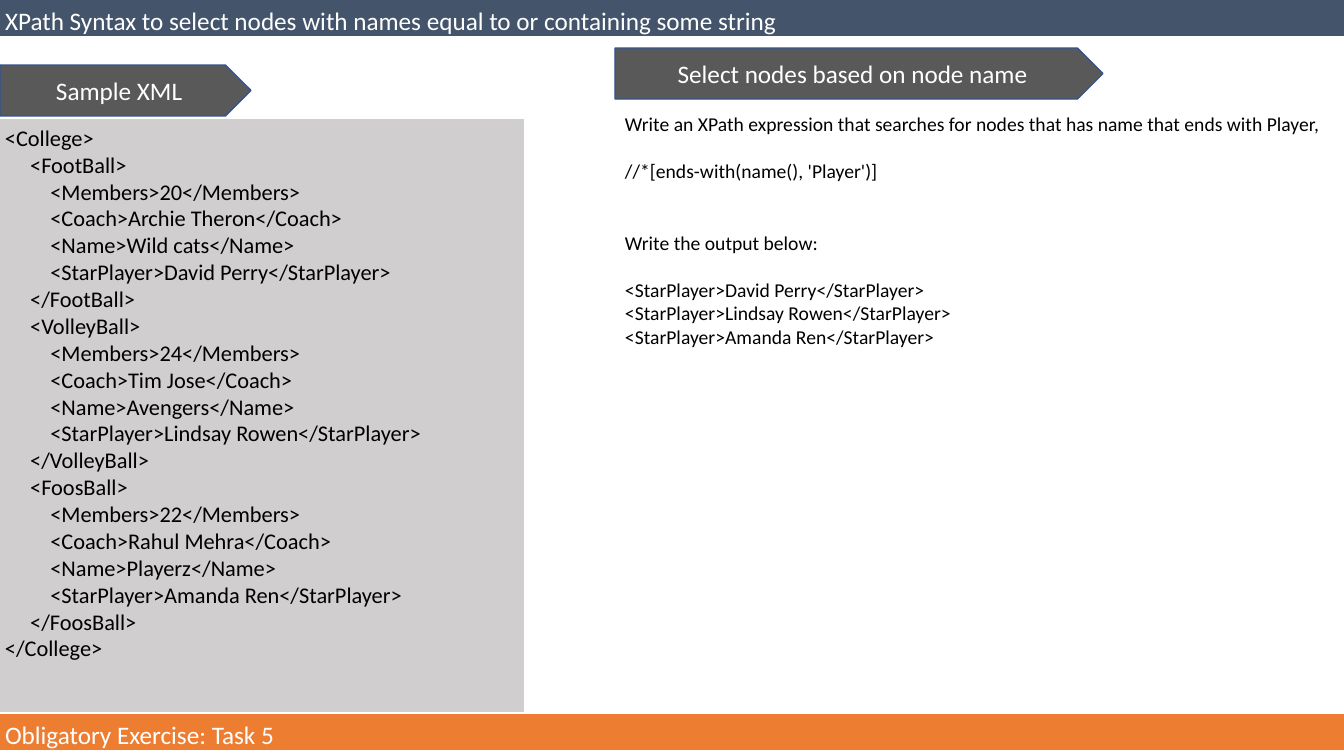
from dataclasses import dataclass

from lxml import etree
from pptx import Presentation
from pptx import util as u
from pptx.dml import color
from pptx.enum import shapes, text
from pptx.oxml import ns

EMU_PER_PX = 914400 / 100.8
WIDTH, HEIGHT = 1344, 756


def px(length):
    return u.Emu(round(length * EMU_PER_PX))


@dataclass(frozen=True)
class Theme:
    font: str = "Calibri"
    title_bar: str = "44546A"
    task_bar: str = "ED7D31"
    code_panel: str = "D0CECE"
    tag: str = "595959"
    tag_line: str = "32538F"
    dark: str = "000000"
    light: str = "FFFFFF"
    heading_size: int = 18
    code_size: int = 16
    body_size: int = 14
    inset: int = 5


class SlideBuilder:
    def __init__(self, slide, theme):
        self.slide = slide
        self.theme = theme

    def place(self, shape, left, top, width, height):
        shape.left, shape.top = px(left), px(top)
        shape.width, shape.height = px(width), px(height)

    def paint(self, shape, fill, line=None):
        shape.fill.solid()
        shape.fill.fore_color.rgb = color.RGBColor.from_string(fill)
        if line:
            shape.line.color.rgb = color.RGBColor.from_string(line)
            shape.line.width = u.Pt(1)
        else:
            shape.line.fill.background()

    def set_text(self, shape, content, size, ink, align=text.PP_ALIGN.LEFT,
                 anchor=text.MSO_ANCHOR.TOP):
        frame = shape.text_frame
        frame.text = content
        frame.word_wrap = True
        frame.auto_size = text.MSO_AUTO_SIZE.NONE
        frame.vertical_anchor = anchor
        frame.margin_left = frame.margin_right = px(self.theme.inset)
        frame.margin_top = frame.margin_bottom = px(self.theme.inset)
        for paragraph in frame.paragraphs:
            paragraph.alignment = align
            for run in paragraph.runs:
                run.font.name = self.theme.font
                run.font.size = u.Pt(size)
                run.font.color.rgb = color.RGBColor.from_string(ink)

    def add_shape(self, kind, box, fill, line=None):
        shape = self.slide.shapes.add_shape(kind, *map(px, box))
        shape.shadow.inherit = False
        self.paint(shape, fill, line)
        return shape

    def title(self, content, box):
        shape = self.slide.shapes.title
        self.place(shape, *box)
        self.paint(shape, self.theme.title_bar)
        self.set_text(shape, content, self.theme.heading_size, self.theme.light)

    def panel(self, content, box, fill, size, ink):
        shape = self.add_shape(shapes.MSO_SHAPE.RECTANGLE, box, fill)
        self.set_text(shape, content, size, ink)

    def tag(self, content, box):
        shape = self.add_shape(shapes.MSO_SHAPE.PENTAGON, box,
                               self.theme.tag, self.theme.tag_line)
        self.set_text(shape, content, self.theme.heading_size, self.theme.light,
                      text.PP_ALIGN.CENTER, text.MSO_ANCHOR.MIDDLE)

    def body(self, lines, box):
        """Fill the body placeholder from (space before in points, line) pairs."""
        shape = self.slide.placeholders[1]
        self.place(shape, *box)
        self.set_text(shape, "\n".join(line for _, line in lines),
                      self.theme.body_size, self.theme.dark)
        for paragraph, (gap, _) in zip(shape.text_frame.paragraphs, lines):
            properties = paragraph._p.get_or_add_pPr()
            properties.set("marL", "0")
            properties.set("indent", "0")
            etree.SubElement(properties, ns.qn("a:buNone"))
            paragraph.space_before = u.Pt(gap)


TEAMS = [
    ("FootBall", 20, "Archie Theron", "Wild cats", "David Perry"),
    ("VolleyBall", 24, "Tim Jose", "Avengers", "Lindsay Rowen"),
    ("FoosBall", 22, "Rahul Mehra", "Playerz", "Amanda Ren"),
]
FIELDS = ("Members", "Coach", "Name", "StarPlayer")


def element(name, value):
    return f"<{name}>{value}</{name}>"


def college_xml():
    lines = ["<College>"]
    for team, *values in TEAMS:
        lines.append(" " * 5 + f"<{team}>")
        lines += [" " * 9 + element(*pair) for pair in zip(FIELDS, values)]
        lines.append(" " * 5 + f"</{team}>")
    return "\n".join(lines + ["</College>"])


def main():
    presentation = Presentation()
    presentation.slide_width, presentation.slide_height = px(WIDTH), px(HEIGHT)
    slide = presentation.slides.add_slide(presentation.slide_layouts[1])
    theme = Theme()
    builder = SlideBuilder(slide, theme)

    # Title bar
    builder.title("XPath Syntax to select nodes with names equal to or "
                  "containing some string", (0, 0, WIDTH, 36))

    # Sample XML
    builder.panel(college_xml(), (0, 119, 524, 593), theme.code_panel,
                  theme.code_size, theme.dark)
    builder.tag("Sample XML", (0, 65, 251, 51))

    # Exercise and its output
    builder.tag("Select nodes based on node name", (615, 48, 488, 51))
    players = [element("StarPlayer", team[-1]) for team in TEAMS]
    builder.body([
        (0, "Write an XPath expression that searches for nodes that has name "
            "that ends with Player,"),
        (17, "//*[ends-with(name(), 'Player')]"),
        (34, "Write the output below:"),
        (17, players[0]),
        *((0, player) for player in players[1:]),
    ], (620, 107, 715, 628))

    # Task bar
    builder.panel("Obligatory Exercise: Task 5", (0, 714, WIDTH, 36),
                  theme.task_bar, theme.heading_size, theme.light)

    presentation.save("out.pptx")


if __name__ == "__main__":
    main()
